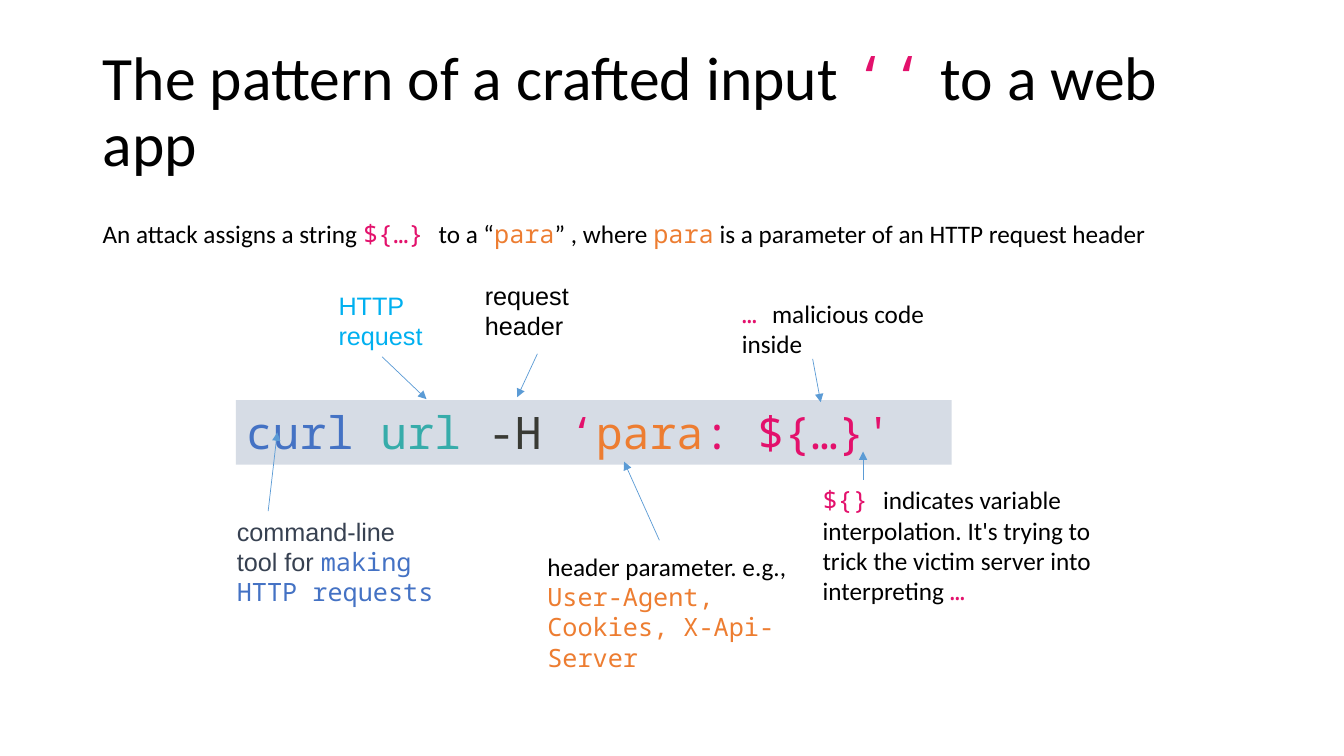
from pptx import Presentation
from pptx.dml.color import RGBColor as RGB
from pptx.enum.shapes import MSO_CONNECTOR as Line, MSO_SHAPE as Shape
from pptx.enum.text import MSO_ANCHOR as Anchor, MSO_AUTO_SIZE as Fit, PP_ALIGN as Align
from pptx.oxml.ns import qn
from pptx.util import Emu, Pt
from lxml.etree import SubElement as Sub

PX = 9144  # 100 px to the inch
SANS, ARIAL, MONO = "Calibri", "Arial", "Noto Sans Mono"
HEX = {
    "black": "000000", "pink": "E3116C", "orange": "ED7D31", "blue": "4472C4",
    "teal": "36ACAA", "ink": "393A34", "slate": "374151", "sky": "00B0F0",
    "bar": "D6DCE5", "arrow": "5B9BD5",
}
COLOR = {name: RGB.from_string(code) for name, code in HEX.items()}


def px(*nums):
    return [Emu(n * PX) for n in nums]


def write(shape, runs, size=18, anchor=Anchor.TOP, fit=Fit.SHAPE_TO_FIT_TEXT, space=1.0):
    """Fill a shape with one left-aligned paragraph of (text, font, colour) runs."""
    frame = shape.text_frame
    frame.word_wrap = True
    frame.auto_size = fit
    frame.vertical_anchor = anchor
    para = frame.paragraphs[0]
    para.alignment = Align.LEFT
    para.line_spacing = space
    for text, face, color in runs:
        run = para.add_run()
        run.text = text
        run.font.name = face
        run.font.size = Pt(size)
        run.font.color.rgb = COLOR[color]


deck = Presentation()
deck.slide_width, deck.slide_height = px(1333, 750)
slide = deck.slides.add_slide(deck.slide_layouts[5])
shapes = slide.shapes

# Title
title = shapes.title
title.left, title.top, title.width, title.height = px(92, 40, 1150, 145)
write(title, [
    ("The pattern of a crafted input ", SANS, "black"),
    ("‘‘", MONO, "pink"),
    (" to a web app", SANS, "black"),
], size=44, anchor=Anchor.MIDDLE, fit=Fit.NONE, space=0.9)

# Command bar
bar = shapes.add_shape(Shape.RECTANGLE, *px(234, 397, 710, 64))
bar.shadow.inherit = False
bar.fill.solid()
bar.fill.fore_color.rgb = COLOR["bar"]
bar.line.fill.background()
write(bar, [
    ("curl ", MONO, "blue"),
    ("url", MONO, "teal"),
    (" -H ", MONO, "ink"),
    ("‘", MONO, "pink"),
    ("para", MONO, "orange"),
    (": ${…}'", MONO, "pink"),
], size=32)

# Notes: box, runs, arrow ends
NOTES = [
    ((92, 212, 1130, 40), [
        ("An attack assigns a string ", SANS, "black"),
        ("${…} ", MONO, "pink"),
        ("to a “", SANS, "black"),
        ("para", MONO, "orange"),
        ("” , where ", SANS, "black"),
        ("para", MONO, "orange"),
        (" is a parameter of an HTTP request header", SANS, "black"),
    ], None),
    ((225, 507, 218, 101), [
        ("command-line tool for ", ARIAL, "slate"),
        ("making HTTP requests", MONO, "blue"),
    ], (266, 507, 275, 429)),
    ((533, 542, 258, 131), [
        ("header parameter. e.g., ", SANS, "black"),
        ("User-Agent, Cookies, X-Api-Server", MONO, "orange"),
    ], (654, 536, 619, 458)),
    ((726, 291, 206, 71), [
        ("… ", MONO, "pink"),
        ("malicious code inside", SANS, "black"),
    ], (806, 356, 814, 399)),
    ((326, 283, 106, 71), [("HTTP request", ARIAL, "sky")], (379, 354, 423, 396)),
    ((471, 273, 106, 71), [("request header", ARIAL, "black")], (533, 351, 513, 394)),
    ((806, 476, 312, 131), [
        ("${} ", MONO, "pink"),
        ("indicates variable interpolation. It's trying to trick the victim server"
         " into interpreting ", SANS, "black"),
        ("…", MONO, "pink"),
    ], (856, 476, 856, 448)),
]
for place, runs, ends in NOTES:
    box = shapes.add_textbox(*px(*place))
    write(box, runs)
    if not ends:
        continue
    arrow = shapes.add_connector(Line.STRAIGHT, *px(*ends))
    left, top, width, height = place
    if ends[:2] == (left + width // 2, top + height):
        arrow.begin_connect(box, 2)
    arrow.line.color.rgb = COLOR["arrow"]
    arrow.line.width = Pt(0.5)
    Sub(arrow.line._get_or_add_ln(), qn("a:tailEnd"), type="triangle")
    Sub(arrow._element.spPr, qn("a:effectLst"))

deck.save("out.pptx")
